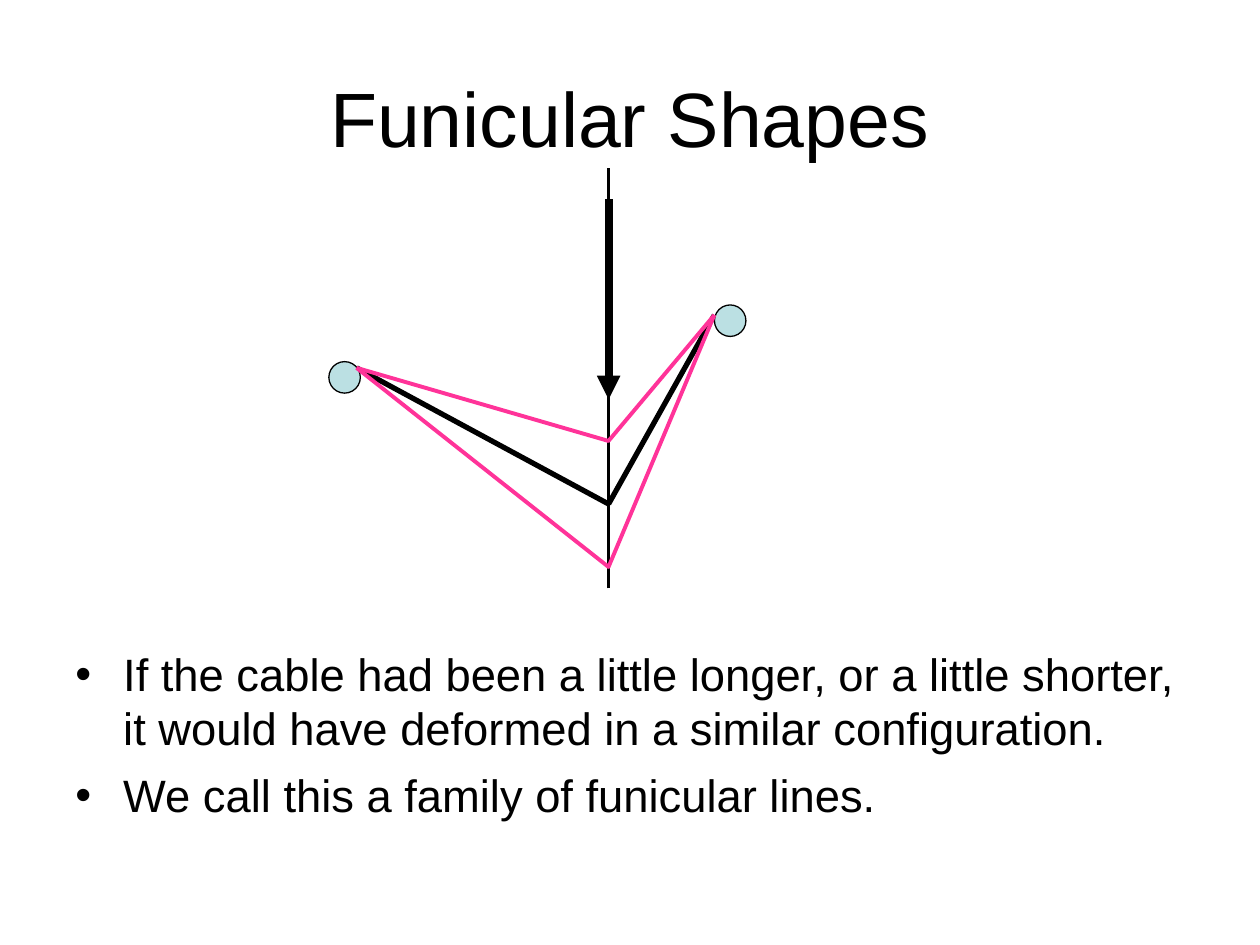
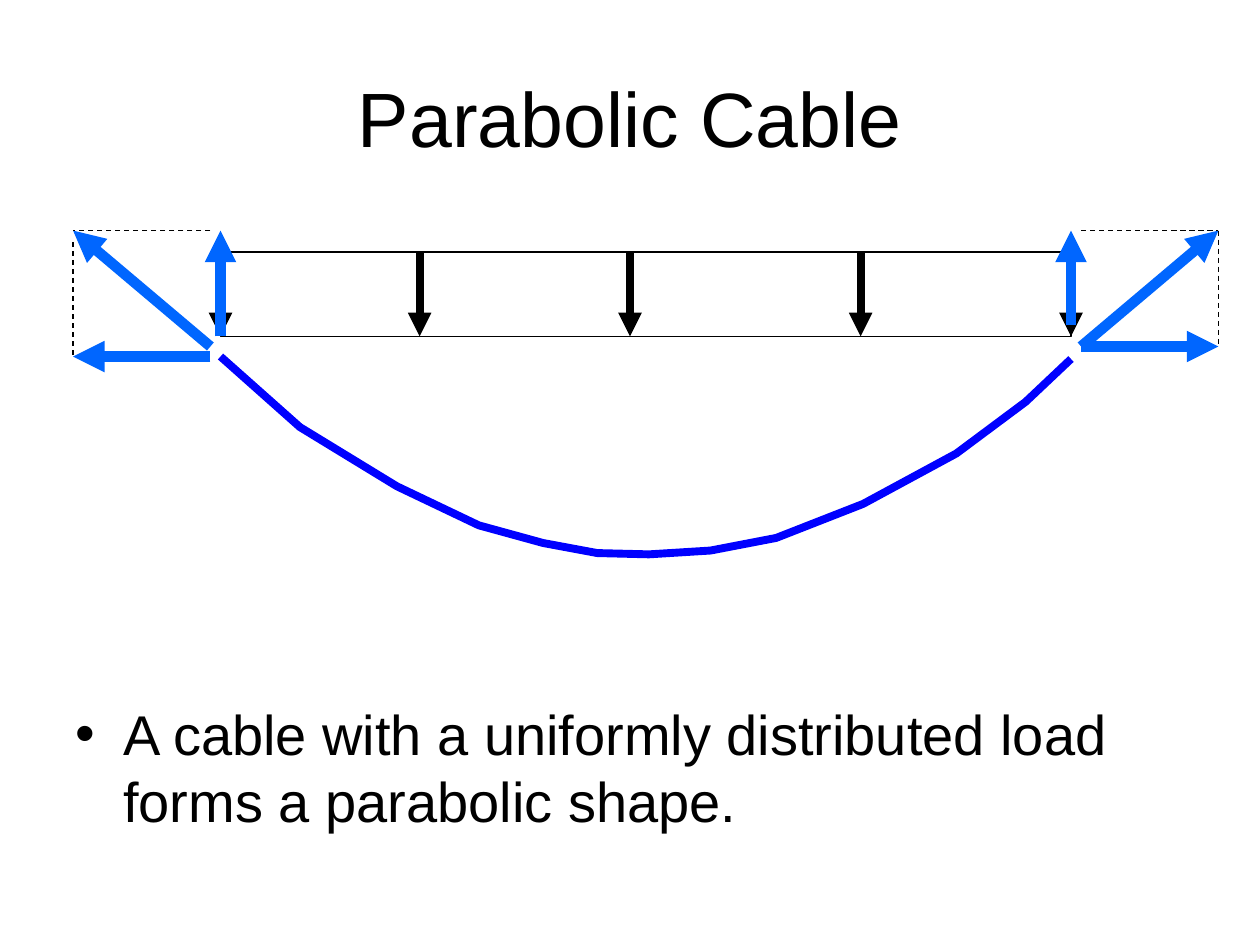
from dataclasses import dataclass

from pptx import Presentation
from pptx.dml.color import RGBColor
from pptx.enum.dml import MSO_LINE_DASH_STYLE as Dash
from pptx.enum.shapes import MSO_CONNECTOR as Connector, MSO_SHAPE as Shape
from pptx.enum.text import MSO_ANCHOR as Anchor, PP_ALIGN as Align
from pptx.oxml.ns import qn
from pptx.util import Inches, Pt
from lxml.etree import SubElement


@dataclass(frozen=True)
class Theme:
    font: str = "Arial"
    title_size: float = 44
    black: str = "000000"
    white: str = "FFFFFF"
    support: str = "BBE0E3"
    family: str = "FF3399"
    cable: str = "0000FF"
    reaction: str = "0066FF"
    thin: float = 0.75
    axis: float = 1.5
    family_width: float = 2.25
    chain: float = 3
    load: float = 4.5
    force: float = 6


THEME = Theme()


@dataclass(frozen=True)
class Box:
    left: float
    top: float
    width: float
    height: float

    def point(self, x, y):
        """Slide position of a point measured from the box's corner."""
        return Inches(self.left + x), Inches(self.top + y)


TITLE_BOX = Box(0.5, 0.3, 9, 1.25)


# Shared formatting
def style_line(line, color, width):
    line.color.rgb = RGBColor.from_string(color)
    line.width = Pt(width)


def style_text(paragraph, size):
    paragraph.font.name = THEME.font
    paragraph.font.size = Pt(size)
    paragraph.font.color.rgb = RGBColor.from_string(THEME.black)


def add_line(slide, box, start, end, color, width, arrow=False, dashed=False):
    line = slide.shapes.add_connector(
        Connector.STRAIGHT, *box.point(*start), *box.point(*end))
    style_line(line.line, color, width)
    if dashed:
        line.line.dash_style = Dash.DASH
    if arrow:
        SubElement(line.line._get_or_add_ln(), qn("a:tailEnd"), type="triangle")
    SubElement(line._element.spPr, qn("a:effectLst"))


def add_polyline(slide, box, points, color, width):
    first, *rest = [box.point(*point) for point in points]
    builder = slide.shapes.build_freeform(*first)
    builder.add_line_segments(rest, close=False)
    shape = builder.convert_to_shape()
    shape.shadow.inherit = False
    shape.fill.background()
    style_line(shape.line, color, width)


def add_filled(slide, box, kind, corner, width, height, fill):
    shape = slide.shapes.add_shape(
        kind, *box.point(*corner), Inches(width), Inches(height))
    shape.shadow.inherit = False
    shape.fill.solid()
    shape.fill.fore_color.rgb = RGBColor.from_string(fill)
    style_line(shape.line, THEME.black, THEME.thin)
    return shape


def add_titled_slide(presentation, text):
    slide = presentation.slides.add_slide(presentation.slide_layouts[5])
    title = slide.shapes.title
    title.left, title.top = TITLE_BOX.point(0, 0)
    title.width, title.height = Inches(TITLE_BOX.width), Inches(TITLE_BOX.height)
    title.text_frame.text = text
    title.text_frame.vertical_anchor = Anchor.MIDDLE
    paragraph = title.text_frame.paragraphs[0]
    paragraph.alignment = Align.CENTER
    style_text(paragraph, THEME.title_size)
    return slide


def add_bullets(slide, box, items, size, gap):
    frame = slide.shapes.add_textbox(
        *box.point(0, 0), Inches(box.width), Inches(box.height)).text_frame
    frame.word_wrap = True
    for index, item in enumerate(items):
        paragraph = frame.add_paragraph() if index else frame.paragraphs[0]
        paragraph.text = item
        properties = paragraph._p.get_or_add_pPr()
        properties.set("marL", str(Inches(0.38)))
        properties.set("indent", str(-Inches(0.38)))
        SubElement(properties, qn("a:buFont"), typeface=THEME.font)
        SubElement(properties, qn("a:buChar"), char="•")
        if index:
            paragraph.space_before = Pt(gap)
        style_text(paragraph, size)


# Cable under a point load, with a longer and a shorter version
def draw_funicular_family(slide, box):
    axis, left_end, right_end = 2.22, (0.22, 1.59), (3.06, 1.17)
    sag, change, diameter = 2.67, 0.5, 0.25
    add_line(slide, box, (axis, box.height), (axis, 0), THEME.black, THEME.axis)
    for end in (right_end, left_end):
        add_line(slide, box, (axis, sag), end, THEME.black, THEME.chain)
    for corner in ((0, 1.54), (box.width - diameter, 1.09)):
        add_filled(slide, box, Shape.OVAL, corner, diameter, diameter, THEME.support)
    for depth in (sag + change, sag - change):
        add_polyline(slide, box, (left_end, (axis, depth), right_end),
                     THEME.family, THEME.family_width)
    add_line(slide, box, (axis, 0.25), (axis, 1.84), THEME.black, THEME.load, arrow=True)


# Reaction at one support: thrust, lift, resultant and dashed outline
def draw_reaction(slide, box, support, inner, outer, thrust, lift, resultant, dash_top):
    forces = (
        ((inner, thrust), (outer, thrust)),
        ((support, lift), (support, 0)),
        ((inner, resultant), (outer, 0)),
    )
    for start, end in forces:
        add_line(slide, box, start, end, THEME.reaction, THEME.force, arrow=True)
    for start, end in (((inner, 0), (outer, 0)), ((outer, dash_top), (outer, thrust))):
        add_line(slide, box, start, end, THEME.black, THEME.thin, dashed=True)


# Cable under a uniformly distributed load
def draw_parabolic_cable(slide, box):
    left, right, load_top, load_height, gap = 1.17, 7.92, 0.17, 0.67, 0.08
    curve = (
        (left, 1), (1.8, 1.56), (2.57, 2.03), (3.22, 2.34), (3.73, 2.48),
        (4.16, 2.56), (4.57, 2.57), (5.06, 2.54), (5.58, 2.44), (6.27, 2.17),
        (7.01, 1.77), (7.56, 1.36), (right, 1.02),
    )
    add_polyline(slide, box, curve, THEME.cable, THEME.load)
    band = add_filled(slide, box, Shape.RECTANGLE, (left, load_top),
                      right - left, load_height, THEME.white)
    color = band._element.spPr.find(qn("a:solidFill"))[0]
    SubElement(color, qn("a:alpha"), val="31000")
    for x in (left, 2.75, 4.42, 6.25, right):
        add_line(slide, box, (x, load_top), (x, load_top + load_height),
                 THEME.black, THEME.load, arrow=True)
    draw_reaction(slide, box, left, left - gap, 0,
                  thrust=1, lift=0.84, resultant=0.92, dash_top=0.09)
    draw_reaction(slide, box, right, right + gap, box.width,
                  thrust=0.92, lift=0.75, resultant=0.92, dash_top=0)


def build_funicular_slide(presentation):
    slide = add_titled_slide(presentation, "Funicular Shapes")
    add_bullets(slide, Box(0.5, 5.08, 9, 1.87), (
        "If the cable had been a little longer, or a little shorter, "
        "it would have deformed in a similar configuration.",
        "We call this a family of funicular lines.",
    ), size=25.9, gap=7)
    draw_funicular_family(slide, Box(2.61, 1.33, 3.31, 3.34))


def build_parabolic_slide(presentation):
    slide = add_titled_slide(presentation, "Parabolic Cable")
    add_bullets(slide, Box(0.5, 5.5, 9, 1.2), (
        "A cable with a uniformly distributed load forms a parabolic shape.",
    ), size=32, gap=8)
    draw_parabolic_cable(slide, Box(0.58, 1.83, 9.09, 2.57))


def main():
    presentation = Presentation()
    presentation.slide_width = Inches(10)
    presentation.slide_height = Inches(7.5)
    build_funicular_slide(presentation)
    build_parabolic_slide(presentation)
    presentation.save("out.pptx")


if __name__ == "__main__":
    main()
